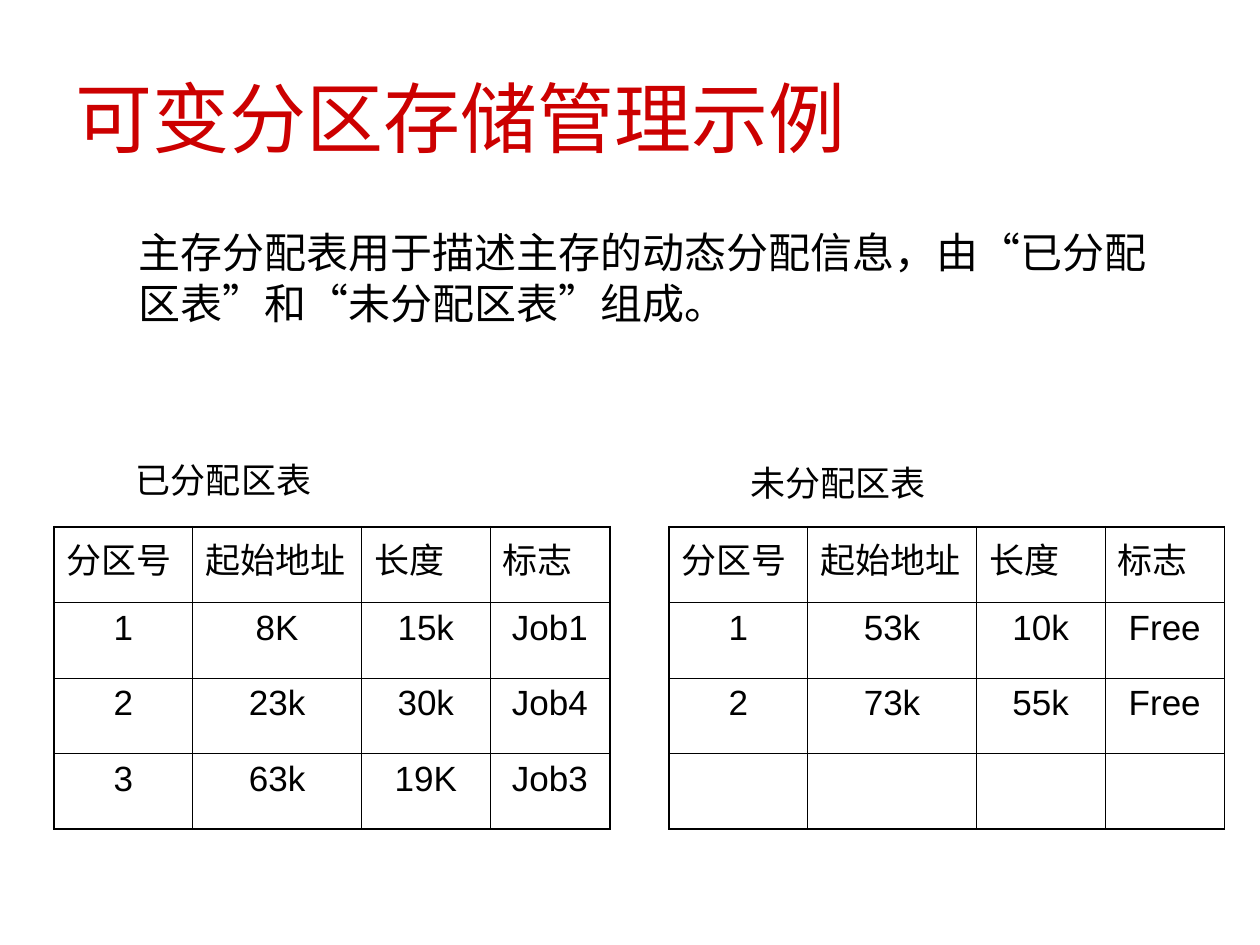
from dataclasses import dataclass

from lxml.etree import SubElement
from pptx import Presentation
from pptx.dml.color import RGBColor
from pptx.enum.text import MSO_ANCHOR as Anchor, PP_ALIGN as Align
from pptx.oxml.ns import qn
from pptx.util import Inches, Pt

RED = RGBColor(0xCC, 0x00, 0x00)
BLACK = RGBColor(0x00, 0x00, 0x00)
SERIF, SANS = "Times New Roman", "Arial"
THIN, THICK = Pt(0.45), Pt(1.08)

HEADER = ("分区号", "起始地址", "长度", "标志")
COL_WIDTHS = (1.1, 1.34, 1.02, 0.95)
ROW_HEIGHT = 0.6
TABLE_TOP = 4.18


@dataclass
class Label:
    text: str
    left: float
    top: float
    width: float
    height: float
    size: float
    font: str
    color: RGBColor = BLACK
    anchor: Anchor = Anchor.TOP
    indent: float = 0


@dataclass
class PartitionTable:
    left: float
    rows: tuple


LABELS = (
    Label("可变分区存储管理示例", 0.5, 0.3, 9, 1.25, 44, SERIF, RED, Anchor.MIDDLE),
    Label("主存分配表用于描述主存的动态分配信息，由“已分配区表”和“未分配区表”组成。",
          0.5, 1.75, 8.83, 1.53, 24, SERIF, indent=0.5),
    Label("已分配区表", 0.98, 3.59, 3.31, 0.44, 20, SANS),
    Label("未分配区表", 5.86, 3.61, 3.31, 0.44, 20, SANS),
)

TABLES = (
    PartitionTable(0.43, (("1", "8K", "15k", "Job1"),
                          ("2", "23k", "30k", "Job4"),
                          ("3", "63k", "19K", "Job3"))),
    PartitionTable(5.31, (("1", "53k", "10k", "Free"),
                          ("2", "73k", "55k", "Free"),
                          ("", "", "", ""))),
)


def set_font(p, size: float, name: str, color: RGBColor) -> None:
    p.font.size = Pt(size)
    p.font.name = name
    p.font.color.rgb = color


def add_label(s, label: Label) -> None:
    box = s.shapes.add_textbox(Inches(label.left), Inches(label.top),
                               Inches(label.width), Inches(label.height))
    tf = box.text_frame
    tf.word_wrap = True
    tf.vertical_anchor = label.anchor
    p = tf.paragraphs[0]
    p.text = label.text
    if label.indent:
        pPr = p._p.get_or_add_pPr()
        pPr.set("marL", str(Inches(label.indent)))
        pPr.set("indent", "0")
    set_font(p, label.size, label.font, label.color)


def set_borders(cell, outer: dict) -> None:
    """Draw all four sides, thick where the side lies on the table's edge."""
    tcPr = cell._tc.get_or_add_tcPr()
    for side, is_outer in outer.items():
        ln = SubElement(tcPr, qn(f"a:ln{side}"), w=str(THICK if is_outer else THIN))
        fill = SubElement(ln, qn("a:solidFill"))
        SubElement(fill, qn("a:srgbClr"), val=str(BLACK))


def add_partition_table(s, spec: PartitionTable) -> None:
    rows = (HEADER, *spec.rows)
    last_row, last_col = len(rows) - 1, len(HEADER) - 1
    table = s.shapes.add_table(len(rows), len(HEADER), Inches(spec.left),
                               Inches(TABLE_TOP), Inches(sum(COL_WIDTHS)),
                               Inches(ROW_HEIGHT * len(rows))).table
    table.first_row = table.horz_banding = False
    for column, width in zip(table.columns, COL_WIDTHS):
        column.width = Inches(width)
    for i, values in enumerate(rows):
        table.rows[i].height = Inches(ROW_HEIGHT)
        for j, value in enumerate(values):
            cell = table.cell(i, j)
            set_borders(cell, {"L": j == 0, "R": j == last_col,
                               "T": i == 0, "B": i == last_row})
            cell.fill.background()
            p = cell.text_frame.paragraphs[0]
            p.text = value
            p.alignment = Align.LEFT if i == 0 else Align.CENTER
            set_font(p, 20, SANS, BLACK)


def main() -> None:
    prs = Presentation()
    prs.slide_width, prs.slide_height = Inches(10), Inches(7.5)
    s = prs.slides.add_slide(prs.slide_layouts[6])

    # Title, description and table captions
    for label in LABELS:
        add_label(s, label)

    # Allocated and free partitions
    for table in TABLES:
        add_partition_table(s, table)

    prs.save("out.pptx")


if __name__ == "__main__":
    main()
